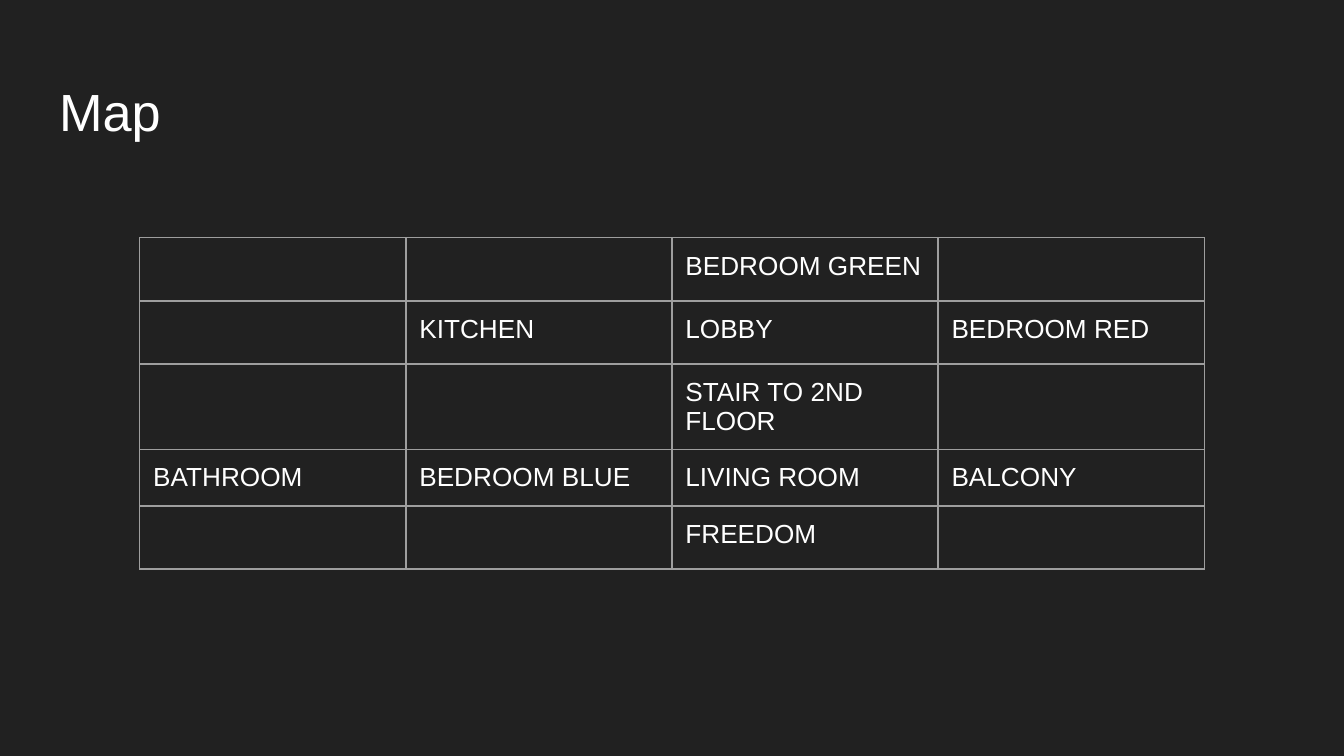
from lxml import etree
from pptx import Presentation
from pptx import util as u
from pptx.dml import color
from pptx.enum import text
from pptx.oxml import ns
from pptx.text import text as runs

BACKGROUND, WHITE, GRID = "212121", "FFFFFF", "9E9E9E"
ROOMS = [
    ["", "", "BEDROOM GREEN", ""],
    ["", "KITCHEN", "LOBBY", "BEDROOM RED"],
    ["", "", "STAIR TO 2ND FLOOR", ""],
    ["BATHROOM", "BEDROOM BLUE", "LIVING ROOM", "BALCONY"],
    ["", "", "FREEDOM", ""],
]


def paint(fill, value):
    fill.solid()
    fill.fore_color.rgb = color.RGBColor.from_string(value)


def set_all(target, values):
    for name, value in values.items():
        setattr(target, name, value)


def format_font(font, size):
    set_all(font, {"name": "Arial", "size": u.Pt(size)})
    paint(font.fill, WHITE)


def add_borders(cell, value, width):
    properties = cell._tc.get_or_add_tcPr()
    for side in ("a:lnL", "a:lnR", "a:lnT", "a:lnB"):
        line = etree.SubElement(properties, ns.qn(side), w=str(u.Pt(width)))
        fill = etree.SubElement(line, ns.qn("a:solidFill"))
        etree.SubElement(fill, ns.qn("a:srgbClr"), val=value)


def margins(size):
    return {f"margin_{side}": u.Inches(size)
            for side in ("left", "right", "top", "bottom")}


def place_title(slide, left, top, width, height):
    title = slide.shapes.title
    set_all(title, {"left": left, "top": top, "width": width, "height": height})
    title.text = "Map"
    set_all(title.text_frame, {
        **margins(0.1),
        "vertical_anchor": text.MSO_ANCHOR.TOP,
        "auto_size": text.MSO_AUTO_SIZE.NONE, "word_wrap": True,
    })
    paragraph = title.text_frame.paragraphs[0]
    paragraph.alignment = text.PP_ALIGN.LEFT
    format_font(paragraph.runs[0].font, 28)


def place_map(slide, left, top, width, height):
    table = slide.shapes.add_table(
        len(ROOMS), len(ROOMS[0]), left, top, width, height).table
    set_all(table, {"first_row": False, "horz_banding": False})
    for row, names in enumerate(ROOMS):
        for column, name in enumerate(names):
            cell = table.cell(row, column)
            set_all(cell, margins(0.1))
            add_borders(cell, GRID, 0.75)
            cell.fill.background()
            paragraph = cell.text_frame.paragraphs[0]
            if name:
                paragraph.text = name
                format_font(paragraph.runs[0].font, 14)
            else:
                ending = etree.SubElement(paragraph._p, ns.qn("a:endParaRPr"))
                format_font(runs.Font(ending), 17.3)


presentation = Presentation()
slide_width = u.Inches(10)
set_all(presentation, {"slide_width": slide_width, "slide_height": slide_width * 9 // 16})
slide = presentation.slides.add_slide(presentation.slide_layouts[5])
paint(slide.background.fill, BACKGROUND)
place_title(slide, u.Inches(0.34), u.Inches(0.49), u.Inches(9.32), u.Inches(0.63))
place_map(slide, u.Inches(1.04), u.Inches(1.77), u.Inches(7.92), u.Inches(2.1))
presentation.save("out.pptx")
